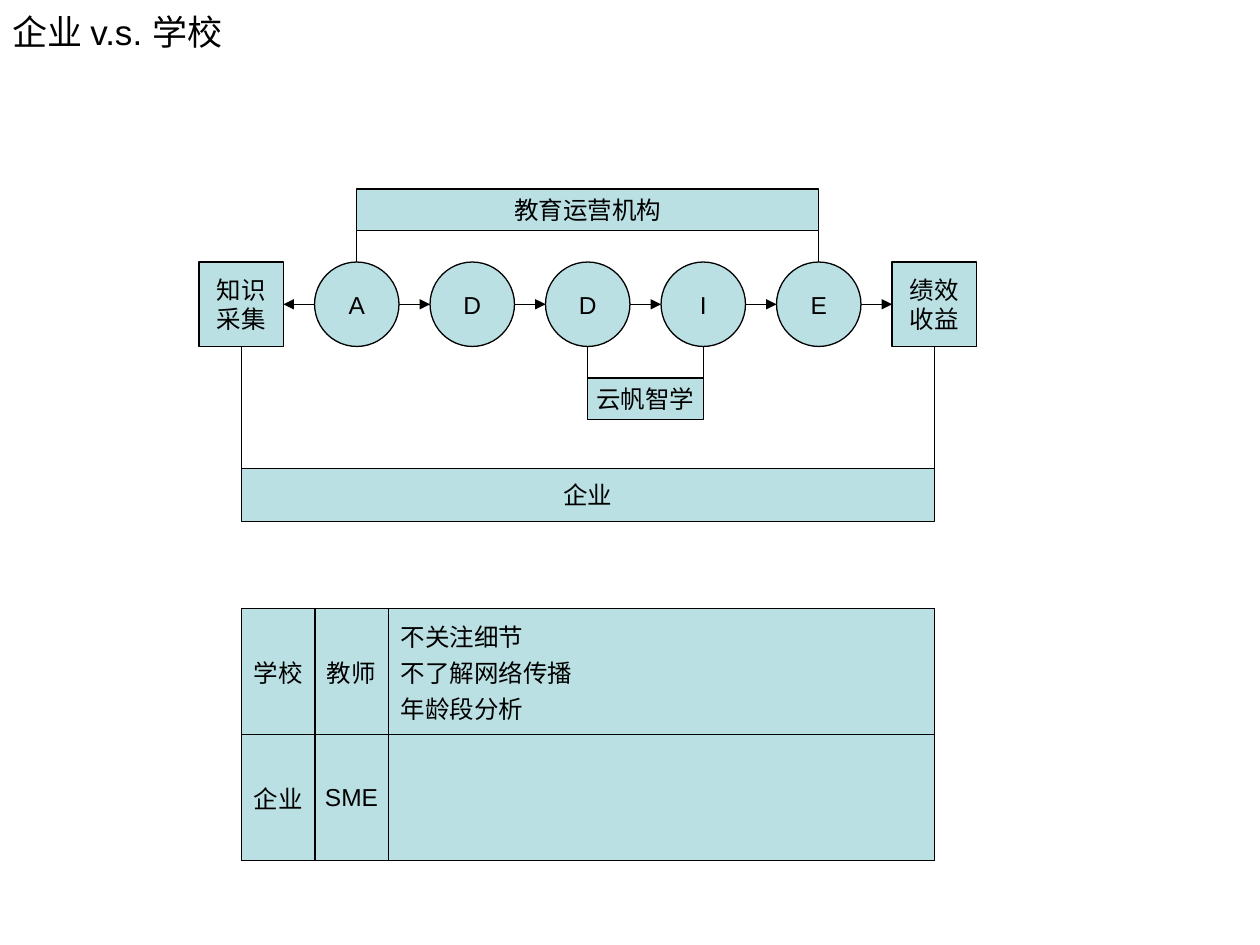
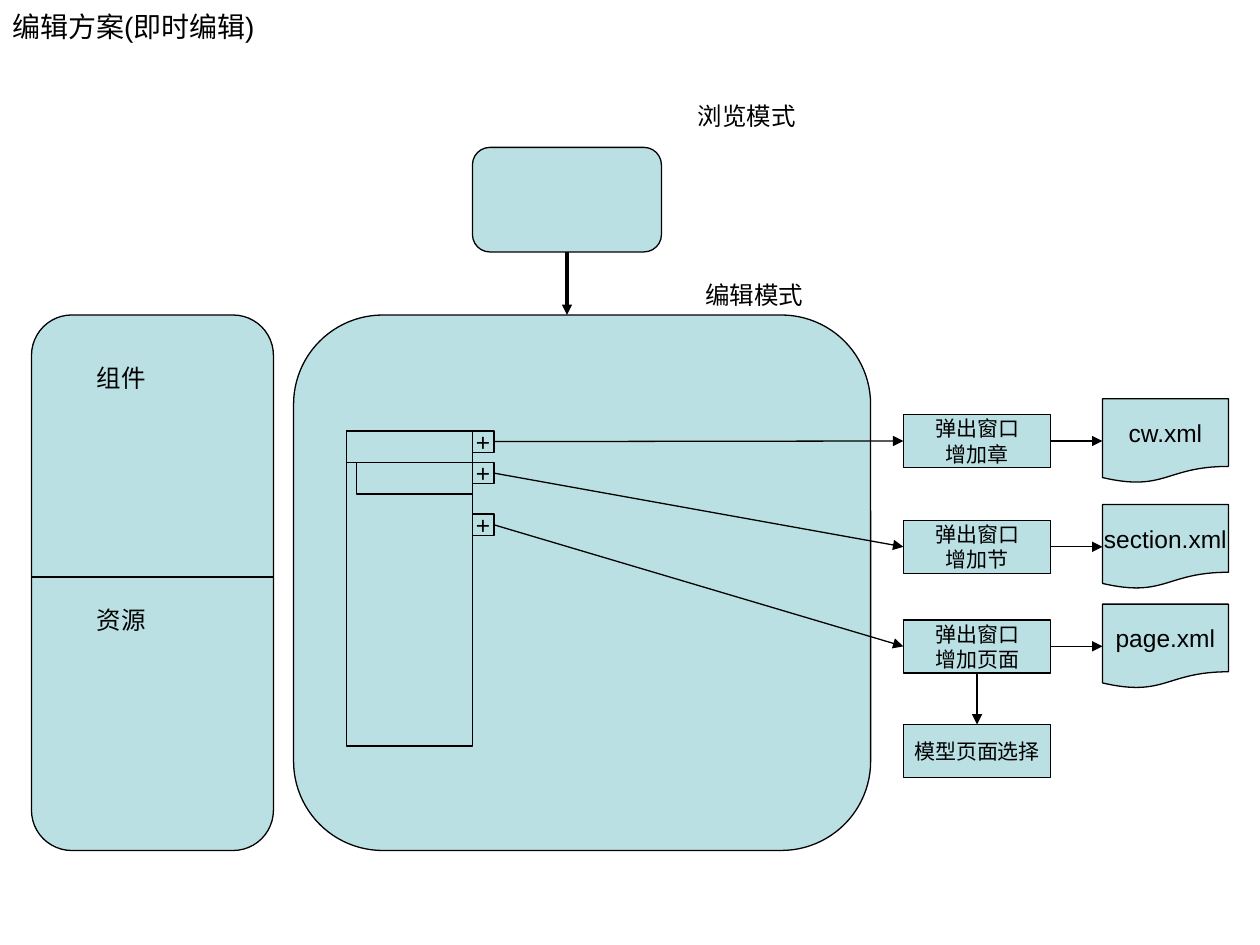
from dataclasses import dataclass
from typing import Any, NamedTuple

import pptx
import pptx.util
from lxml import etree
from pptx.dml.color import RGBColor
from pptx.enum.shapes import MSO_CONNECTOR, MSO_SHAPE
from pptx.enum.text import MSO_ANCHOR, PP_ALIGN
from pptx.oxml.ns import qn
from pptx.util import Inches


@dataclass(frozen=True)
class Theme:
    fill: RGBColor = RGBColor(0xBB, 0xE0, 0xE3)
    ink: RGBColor = RGBColor(0, 0, 0)
    font: str = "Arial"
    body: float = 14
    small: float = 12
    thin: float = 0.75
    thick: float = 1.75


class Box(NamedTuple):
    left: float
    top: float
    width: float
    height: float

    def lengths(self) -> list[int]:
        return [Inches(v) for v in self]


class Port(NamedTuple):
    """A side of a shape: 0 top, 1 left, 2 bottom, 3 right."""
    shape: Any
    side: int


class Point(NamedTuple):
    x: float
    y: float


class Popup(NamedTuple):
    top: float
    plus: float
    label: str
    file: str


THEME = Theme()
TOP, LEFT, BOTTOM, RIGHT = range(4)
RECT = MSO_SHAPE.FLOWCHART_PROCESS
ROUND = MSO_SHAPE.FLOWCHART_ALTERNATE_PROCESS
CIRCLE = MSO_SHAPE.FLOWCHART_CONNECTOR
PAPER = MSO_SHAPE.FLOWCHART_DOCUMENT


def write(frame: Any, text: str, *, size: float = THEME.body,
          align: PP_ALIGN = PP_ALIGN.LEFT, anchor: MSO_ANCHOR = MSO_ANCHOR.TOP,
          wrap: bool = False) -> None:
    frame.word_wrap = wrap
    frame.vertical_anchor = anchor
    for i, words in enumerate(text.split("\n")):
        para = frame.paragraphs[0] if i == 0 else frame.add_paragraph()
        para.alignment = align
        run = para.add_run()
        run.text = words
        run.font.size = pptx.util.Pt(size)
        run.font.name = THEME.font
        run.font.color.rgb = THEME.ink


def label(slide: Any, box: Box, text: str, **style: Any) -> None:
    write(slide.shapes.add_textbox(*box.lengths()).text_frame, text, **style)


def title(slide: Any, text: str, size: float, height: float) -> None:
    label(slide, Box(0, 0, 4.5, height), text, size=size,
          anchor=MSO_ANCHOR.MIDDLE, wrap=True)


def block(slide: Any, kind: MSO_SHAPE, box: Box, text: str = "",
          size: float = THEME.body) -> Any:
    shape = slide.shapes.add_shape(kind, *box.lengths())
    shape.shadow.inherit = False
    shape.fill.solid()
    shape.fill.fore_color.rgb = THEME.fill
    shape.line.color.rgb = THEME.ink
    shape.line.width = pptx.util.Pt(THEME.thin)
    if text:
        write(shape.text_frame, text, size=size, align=PP_ALIGN.CENTER,
              anchor=MSO_ANCHOR.MIDDLE)
    return shape


def line(slide: Any, start: Point | Port, end: Point | Port, *,
         arrow: bool = True, width: float = THEME.thin) -> None:
    spots = [p if isinstance(p, Point) else Point(0, 0) for p in (start, end)]
    link = slide.shapes.add_connector(
        MSO_CONNECTOR.STRAIGHT, *[Inches(v) for spot in spots for v in spot])
    for port, join in ((start, link.begin_connect), (end, link.end_connect)):
        if isinstance(port, Port):
            join(port.shape, port.side)
    link.line.color.rgb = THEME.ink
    link.line.width = pptx.util.Pt(width)
    if arrow:
        tip = etree.SubElement(link.line._get_or_add_ln(), qn("a:tailEnd"))
        tip.set("type", "triangle")
    etree.SubElement(link._element.spPr, qn("a:effectLst"))


def border(cell: Any) -> None:
    """Give all four sides a thin line, ahead of the cell's fill."""
    props = cell._tc.get_or_add_tcPr()
    for i, side in enumerate(("lnL", "lnR", "lnT", "lnB")):
        edge = etree.Element(qn(f"a:{side}"), w=str(pptx.util.Pt(THEME.thin)))
        paint = etree.SubElement(edge, qn("a:solidFill"))
        etree.SubElement(paint, qn("a:srgbClr"), val=str(THEME.ink))
        props.insert(i, edge)


def grid(slide: Any, box: Box, widths: list[float], rows: list[list[str]]) -> None:
    table = slide.shapes.add_table(len(rows), len(widths), *box.lengths()).table
    table.first_row = table.horz_banding = False
    for col, width in zip(table.columns, widths):
        col.width = Inches(width)
    for r, row in enumerate(rows):
        for c, text in enumerate(row):
            cell = table.cell(r, c)
            last = c == len(row) - 1
            cell.margin_left = cell.margin_right = Inches(0.1 if last else 0.02)
            cell.fill.solid()
            cell.fill.fore_color.rgb = THEME.fill
            border(cell)
            cell.vertical_anchor = MSO_ANCHOR.MIDDLE
            if text:
                write(cell.text_frame, text, wrap=True, anchor=MSO_ANCHOR.MIDDLE,
                      align=PP_ALIGN.LEFT if last else PP_ALIGN.CENTER)


def compare(slide: Any) -> None:
    title(slide, "企业 v.s. 学校", 20, 0.5)
    size, step, top = 0.67, 11 / 12, 2.08
    mid, low = top + size / 2, top + size
    lefts = [1.58 + i * step for i in range(7)]
    centres = [left + size / 2 for left in lefts]

    names = ["知识\n采集", *"ADDIE", "绩效\n收益"]
    kinds = [RECT, *[CIRCLE] * 5, RECT]
    steps = [block(slide, kind, Box(left, top, size, size), name)
             for kind, left, name in zip(kinds, lefts, names)]

    line(slide, Point(lefts[1], mid), Port(steps[0], RIGHT))
    for i in range(1, 5):
        line(slide, Point(lefts[i] + size, mid), Point(lefts[i + 1], mid))
    line(slide, Point(lefts[5] + size, mid), Port(steps[6], LEFT))

    def span(first: int, last: int, y: float, height: float, name: str) -> None:
        """Bar from one step's centre to another's, tied to both."""
        left, right = centres[first], centres[last]
        edge, side = (y + height, TOP) if y < top else (y, BOTTOM)
        for i in (first, last):
            node = (Port(steps[i], side) if kinds[i] == RECT
                    else Point(centres[i], top if side == TOP else low))
            line(slide, node, Point(centres[i], edge), arrow=False)
        block(slide, RECT, Box(left, y, right - left, height), name)

    span(3, 4, 3, 0.33, "云帆智学")
    span(1, 5, 1.5, 0.33, "教育运营机构")
    span(0, 6, 3.72, 0.42, "企业")

    grid(slide, Box(1.92, 4.83, 5.5, 2), [0.58, 0.58, 4.34], [
        ["学校", "教师", "不关注细节\n不了解网络传播\n年龄段分析"],
        ["企业", "SME", ""],
    ])


def editor(slide: Any) -> None:
    title(slide, "编辑方案(即时编辑)", 16, 0.42)
    view = block(slide, ROUND, Box(3.75, 1.17, 1.5, 0.83))
    block(slide, ROUND, Box(2.33, 2.5, 4.58, 4.25))
    line(slide, Port(view, BOTTOM), Point(4.5, 2.5), width=THEME.thick)
    block(slide, ROUND, Box(0.25, 2.5, 1.92, 4.25))
    line(slide, Point(0.25, 4.58), Point(2.17, 4.58), arrow=False)
    for left, top, width, text in ((5.44, 0.75, 0.98, "浏览模式"),
                                   (5.5, 2.17, 0.98, "编辑模式"),
                                   (0.67, 2.83, 0.59, "组件"),
                                   (0.67, 4.75, 0.59, "资源")):
        label(slide, Box(left, top, width, 0.34), text)

    for tree in (Box(2.75, 3.42, 1, 2.5), Box(2.75, 3.42, 1, 0.25),
                 Box(2.83, 3.67, 0.92, 0.25)):
        block(slide, RECT, tree)

    def window(top: float, text: str) -> Any:
        return block(slide, RECT, Box(7.17, top, 1.17, 0.42), text, THEME.small)

    for item in (Popup(3.29, 3.42, "增加章", "cw.xml"),
                 Popup(4.13, 3.67, "增加节", "section.xml"),
                 Popup(4.92, 4.08, "增加页面", "page.xml")):
        plus = block(slide, RECT, Box(3.75, item.plus, 0.17, 0.17), "+")
        popup = window(item.top, f"弹出窗口\n{item.label}")
        paper = block(slide, PAPER, Box(8.75, item.top - 0.125, 1, 0.67), item.file)
        line(slide, Port(plus, RIGHT), Port(popup, LEFT))
        line(slide, Port(popup, RIGHT), Port(paper, LEFT))

    model = window(5.75, "模型页面选择")
    line(slide, Port(popup, BOTTOM), Port(model, TOP))


def main() -> None:
    deck = pptx.Presentation()
    deck.slide_width, deck.slide_height = Inches(10), Inches(7.5)
    for draw in (compare, editor):
        draw(deck.slides.add_slide(deck.slide_layouts[6]))
    deck.save("out.pptx")


if __name__ == "__main__":
    main()
